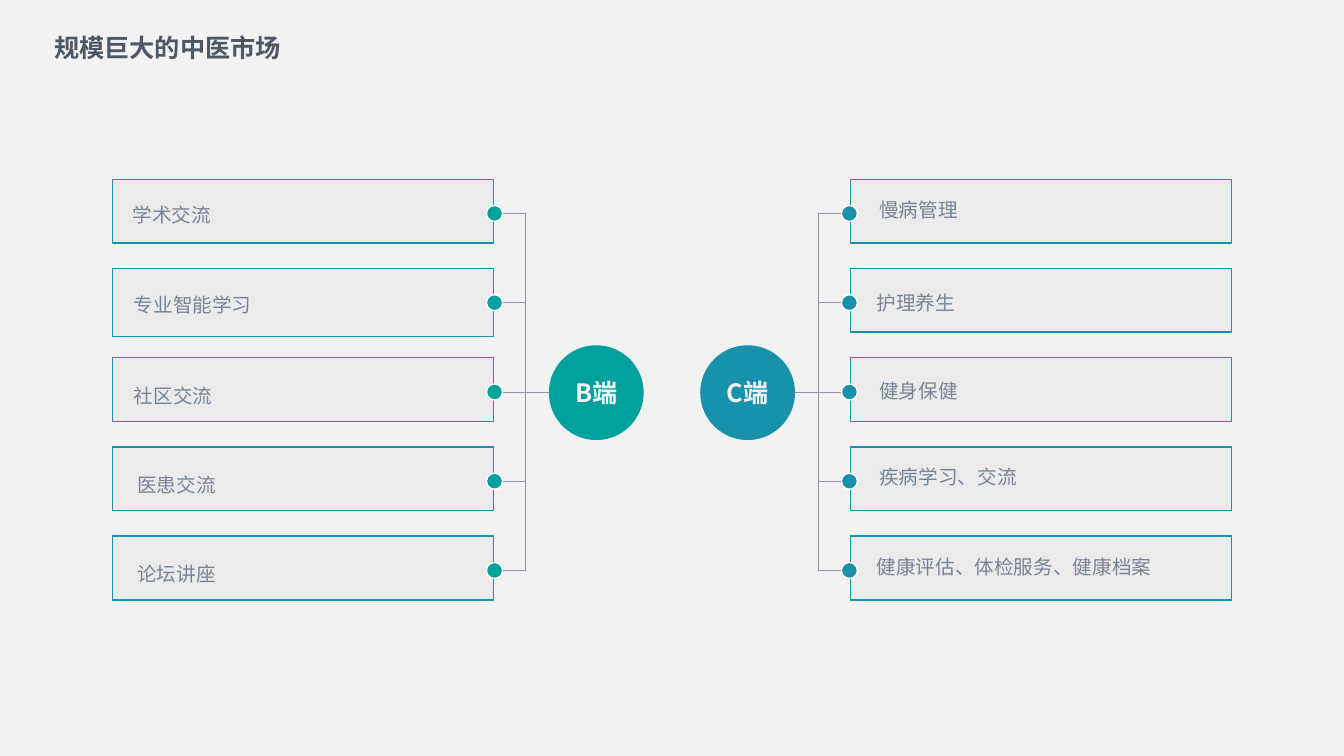
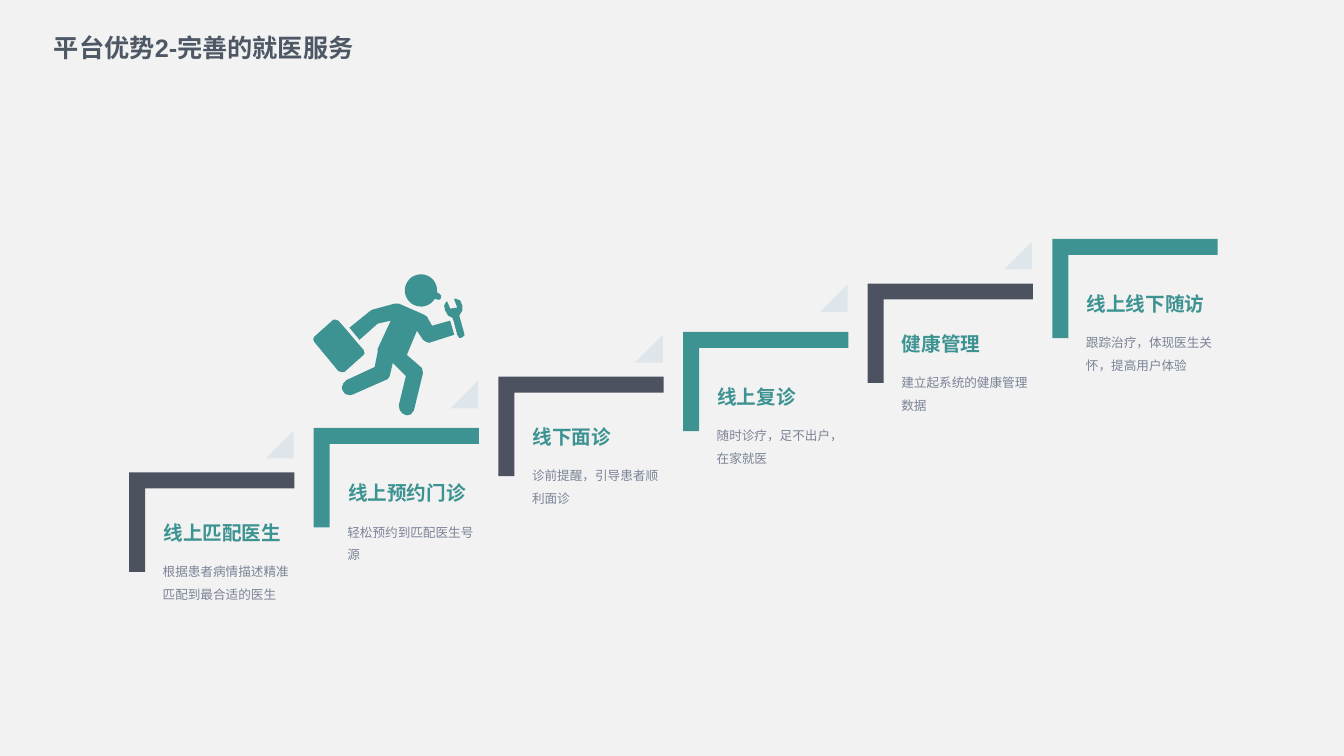
"""Build two slides: a two-sided market map and a service staircase."""
import math

import pptx
import pptx.chart.data
import pptx.dml.color
import pptx.enum.shapes
import pptx.enum.text
import pptx.oxml.ns
import pptx.util
from lxml import etree

Pt = pptx.util.Pt
ALIGN = pptx.enum.text.PP_ALIGN
ANCHOR = pptx.enum.text.MSO_ANCHOR
SHAPE = pptx.enum.shapes.MSO_SHAPE

COLOURS = {
    "ground": "F2F2F2", "title": "4E5865", "panel": "EBEBEB", "label": "778496",
    "teal": "00A09D", "blue": "1891AB", "rule": "9097A7", "white": "FFFFFF",
    "slate": "4C5260", "jade": "3D9391", "mist": "DFE6EB", "body": "7A8396",
}
CJK = "Noto Sans CJK SC"
STYLES = {
    "title": ("title", {"name": "Arial", "size": Pt(18), "bold": True}, {}),
    "hub": ("ground", {"name": CJK, "size": Pt(18), "bold": True}, {"alignment": ALIGN.CENTER}),
    "label": ("label", {"name": CJK, "size": Pt(14)}, {"alignment": ALIGN.JUSTIFY}),
    "heading": ("jade", {"name": CJK, "size": Pt(14), "bold": True}, {"line_spacing": 1.5}),
    "body": ("body", {"name": CJK, "size": Pt(9)}, {"line_spacing": 1.5}),
}
ROW_PITCH, ROW_HEIGHT = 63.75, 45.5
DOT_SIZE, DOT_DROP = 11.5, 18.75
STEP_PITCH = 131.9

PROVIDERS = [
    ("学术交流", 7, 8.5, ROW_HEIGHT), ("专业智能学习", 8, 8.5, 48.5),
    ("社区交流", 8, 10, ROW_HEIGHT), ("医患交流", 10.5, 10, ROW_HEIGHT),
    ("论坛讲座", 10.5, 10, ROW_HEIGHT),
]
CONSUMERS = [
    ("慢病管理", 13.5, 9.5, ROW_HEIGHT), ("护理养生", 11.5, 12.5, ROW_HEIGHT),
    ("健身保健", 13.5, 11.5, ROW_HEIGHT), ("疾病学习、交流", 13.5, 9.5, ROW_HEIGHT),
    ("健康评估、体检服务、健康档案", 11.5, 10, ROW_HEIGHT),
]
STEPS = [
    (337.5, "线上匹配医生", "根据患者病情描述精准匹配到最合适的医生"),
    (305.7, "线上预约门诊", "轻松预约到匹配医生号源"),
    (269, "线下面诊", "诊前提醒，引导患者顺利面诊"),
    (237, "线上复诊", "随时诊疗，足不出户，在家就医"),
    (202.5, "健康管理", "建立起系统的健康管理数据"),
    (170.6, "线上线下随访", "跟踪治疗，体现医生关怀，提高用户体验"),
]

CASE = [(22, 45), (20, 45), (1, 62), (0, 64.5), (1, 67), (25, 96), (28, 97), (31, 97),
        (50, 80), (51, 78), (50, 75), (43, 67), (33, 55), (25, 46)]
BODY = [(85, 29), (81, 29), (59, 35), (57, 36), (36, 53), (46, 65), (64, 49), (77, 46),
        (64, 74), (64, 77), (61, 92), (33, 105), (30, 108), (28.5, 112), (29, 115),
        (32, 119), (37, 120), (40, 119), (74, 104), (76, 101), (79, 88), (92, 101),
        (85, 130), (86, 135), (89, 138.5), (93, 140), (97, 139), (100, 135), (109, 98),
        (108, 93), (93, 80), (103, 56), (109, 65), (112, 67), (115, 68), (140, 60),
        (136, 46), (118, 51), (113, 42), (110, 40)]
WRENCH = [(141, 24), (140, 25), (143, 33), (136, 34), (133, 27), (132, 27), (130, 31),
          (131, 36), (134, 41), (138, 43), (139, 45), (143, 60), (145, 63), (147, 63),
          (150, 61), (150, 59), (145, 41), (148, 36), (148, 31), (146, 26)]
VISOR = [(123, 18), (125, 19), (127, 21), (127, 23), (126, 25), (123, 25), (120, 24)]


def colour(name):
    """Return the named colour."""
    return pptx.dml.color.RGBColor.from_string(COLOURS[name])


def apply(target, values):
    """Set each attribute in the dict on the target."""
    for key, value in values.items():
        setattr(target, key, value)


def write(shape, text, style, margins=None, **para_values):
    """Put one styled paragraph into the shape."""
    ink, font_values, base = STYLES[style]
    frame = shape.text_frame
    frame.word_wrap = True
    apply(frame, margins or {})
    para = frame.paragraphs[0]
    apply(para, {**base, **para_values})
    span = para.add_run()
    span.text = text
    apply(span.font, font_values)
    span.font.color.rgb = colour(ink)
    east = etree.SubElement(span.font._element, pptx.oxml.ns.qn("a:ea"))
    east.set("typeface", CJK)


def text_box(page, box, text, style, margins=None, **para_values):
    """Add a text box at left, top, width, height."""
    shape = page.shapes.add_textbox(*map(Pt, box))
    write(shape, text, style, margins, **para_values)


def paint(shape, fill, line=None):
    """Give the shape a flat fill and an optional one-point outline."""
    shape.shadow.inherit = False
    shape.fill.solid()
    shape.fill.fore_color.rgb = colour(fill)
    if line:
        shape.line.color.rgb = colour(line)
        shape.line.width = Pt(1)
    else:
        shape.line.fill.background()


def preset(page, kind, box, fill, line=None):
    """Add a painted preset shape."""
    shape = page.shapes.add_shape(kind, *map(Pt, box))
    paint(shape, fill, line)
    return shape


def outline(page, origin, contours, fill, unit=1):
    """Add a freeform of closed contours, drawn in units of points."""
    scaled = [[(x * 10, y * 10) for x, y in contour] for contour in contours]
    builder = page.shapes.build_freeform(*scaled[0][0], scale=Pt(unit / 10))
    for index, contour in enumerate(scaled):
        if index:
            builder.move_to(*contour[0])
        builder.add_line_segments(contour[1:], close=True)
    paint(builder.convert_to_shape(*map(Pt, origin)), fill)


def rule(page, start, end):
    """Add a thin straight connector."""
    line = page.shapes.add_connector(
        pptx.enum.shapes.MSO_CONNECTOR.STRAIGHT, *map(Pt, (*start, *end)))
    line.line.color.rgb = colour("rule")
    line.line.width = Pt(0.5)
    etree.SubElement(line._element.spPr, pptx.oxml.ns.qn("a:effectLst"))


def new_page(deck, title, width):
    """Add a blank page with the shared ground and title."""
    page = deck.slides.add_slide(deck.slide_layouts[6])
    page.background.fill.solid()
    page.background.fill.fore_color.rgb = colour("ground")
    text_box(page, (31.5, 19.5, width, 29), title, "title")
    return page


def market_side(page, box, direction, hub_text, accent, rows, **para_values):
    """Draw a column of rows joined to a hub; direction points to the hub."""
    left, top, width = box
    edge = left + width if direction > 0 else left

    def across(distance):
        """Return the place at a distance from the inner edge."""
        return edge + direction * distance

    def circle(near, size, y, *paints):
        """Add a circle that starts at a distance from the inner edge."""
        x = min(across(near), across(near + size))
        return preset(page, SHAPE.OVAL, (x, y, size, size), *paints)

    centres = [top + row * ROW_PITCH + DOT_DROP + DOT_SIZE / 2 for row in range(len(rows))]
    middle = len(rows) // 2
    hub_size = 67.7
    hub = circle(39.6, hub_size, centres[middle] - hub_size / 2 + 0.5, accent)
    write(hub, hub_text, "hub", {"vertical_anchor": ANCHOR.MIDDLE})
    rule(page, (across(23), centres[0]), (across(23), centres[-1]))
    for row, (text, indent, drop, height) in enumerate(rows):
        y = top + row * ROW_PITCH
        preset(page, SHAPE.RECTANGLE, (left, y, width, height), "panel", "blue")
        circle(-5, DOT_SIZE, y + DOT_DROP, accent, "white")
        reach = 39.6 if row == middle else 23
        rule(page, (across(6.5), centres[row]), (across(reach), centres[row]))
        text_box(page, (left + indent, y + drop, 245, 28), text, "label", **para_values)


def step(page, box, bar, raised, heading, body, last):
    """Draw one stair with its heading, text and corner triangle."""
    left, top, width, height = box
    thick = 11.4
    bracket = [(0, 0), (width, 0), (width, thick), (thick, thick), (thick, height), (0, height)]
    outline(page, (left, top), [bracket], bar)
    if not last:
        lift = 34 if raised else 30
        outline(page, (left + 97.5, top - lift), [[(0, 20), (20, 0), (20, 20)]], "mist")
    margins = dict.fromkeys(("margin_left", "margin_right", "margin_top", "margin_bottom"), 0)
    drop = 29.5 if raised else 26
    text_box(page, (left + 24.5, top + drop, 93, 35), heading, "heading", margins)
    text_box(page, (left + 24, top + drop + 34, 93, 35), body, "body", margins)


def runner(page, origin):
    """Draw the running figure with a case and a wrench."""
    angles = [math.radians(angle) for angle in range(32, 368, 8)]
    head = [(107 + 16 * math.cos(a), 16 + 16 * math.sin(a)) for a in angles]
    outline(page, origin, [CASE, BODY, WRENCH, head + VISOR], "jade", 0.72)


def market_page(deck):
    """Build the market page."""
    page = new_page(deck, "规模巨大的中医市场", 178)
    market_side(page, (80.5, 128, 272), 1, "B端", "teal", PROVIDERS, line_spacing=Pt(22))
    market_side(page, (607.5, 128, 272), -1, "C端", "blue", CONSUMERS)


def service_page(deck):
    """Build the service staircase page."""
    page = new_page(deck, "平台优势2-完善的就医服务", 230.5)
    runner(page, (223.75, 196))
    for index, (top, heading, body) in enumerate(STEPS):
        raised = index % 2 == 1
        box = (92.2 + index * STEP_PITCH, top, 118, 71)
        bar = "jade" if raised else "slate"
        step(page, box, bar, raised, heading, body, index == len(STEPS) - 1)


def main():
    """Build and save the deck."""
    deck = pptx.Presentation()
    apply(deck, {"slide_width": Pt(960), "slide_height": Pt(540)})
    market_page(deck)
    service_page(deck)
    deck.save("out.pptx")


if __name__ == "__main__":
    main()
